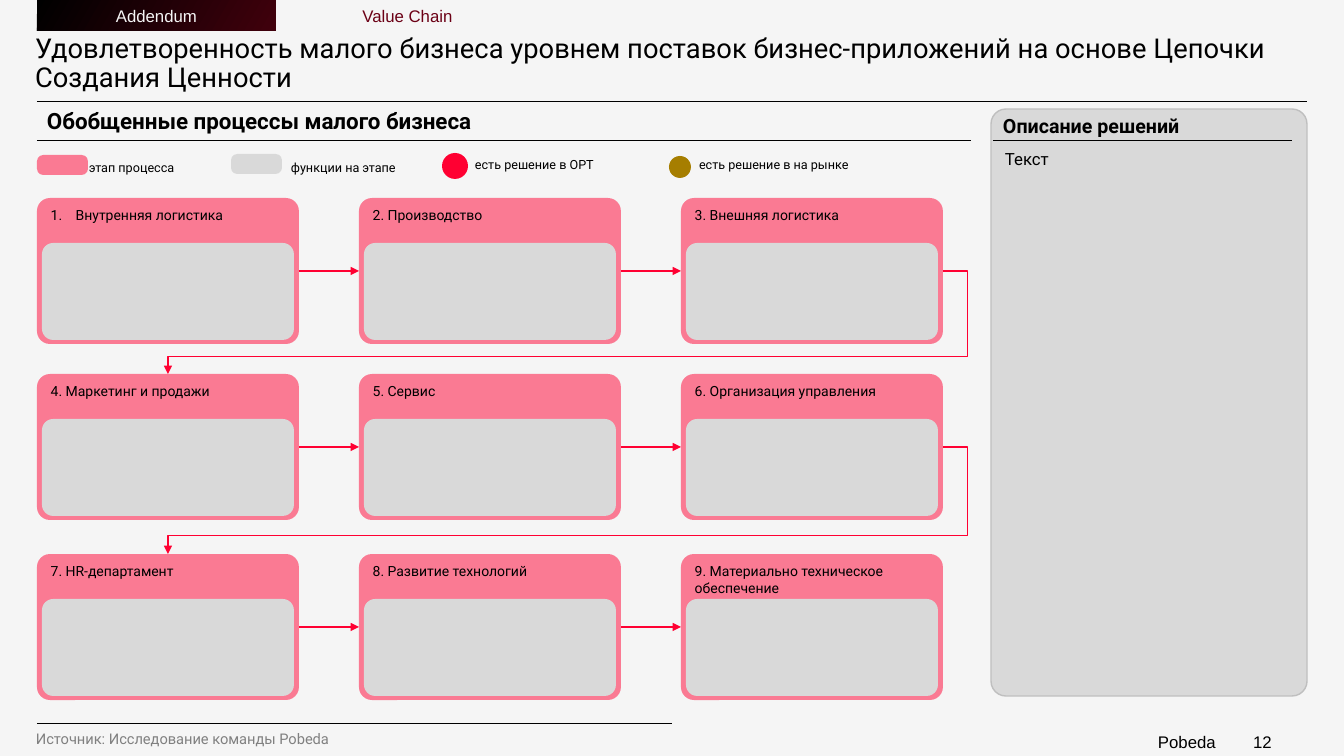
from lxml.etree import SubElement
from pptx import Presentation
from pptx.dml.color import RGBColor
from pptx.enum.shapes import MSO_CONNECTOR, MSO_SHAPE
from pptx.enum.text import MSO_ANCHOR, MSO_AUTO_SIZE, PP_ALIGN
from pptx.oxml.ns import qn
from pptx.util import Pt

PX = 914400 / 100.8  # EMU in one px

BLACK = RGBColor(0x00, 0x00, 0x00)
PAPER = RGBColor(0xF5, 0xF5, 0xF5)
RED = RGBColor(0xFF, 0x00, 0x32)
DARK_RED = RGBColor(0x40, 0x00, 0x0C)
WINE = RGBColor(0x6B, 0x00, 0x15)
GOLD = RGBColor(0xA6, 0x7E, 0x00)
LIGHT_GRAY = RGBColor(0xD9, 0xD9, 0xD9)
EDGE_GRAY = RGBColor(0xBF, 0xBF, 0xBF)
TEXT_GRAY = RGBColor(0x80, 0x80, 0x80)


def add_box(kind, box, fill=None, radius=None, alpha=None):
    """Add a preset shape, or a text box when kind is None."""
    x, y, w, h = [round(v * PX) for v in box]
    if kind is None:
        return s.shapes.add_textbox(x, y, w, h)
    sp = s.shapes.add_shape(kind, x, y, w, h)
    sp.shadow.inherit = False
    sp.line.fill.background()
    if fill is not None:
        sp.fill.solid()
        sp.fill.fore_color.rgb = fill
    if radius is not None:
        sp.adjustments[0] = radius
    if alpha is not None:
        color = sp.fill._xPr.find(qn("a:solidFill"))[0]
        SubElement(color, qn("a:alpha"), val=str(alpha * 1000))
    return sp


def write(sp, text, size, font="Roboto", color=BLACK, bold=False,
          anchor=MSO_ANCHOR.MIDDLE, align=PP_ALIGN.LEFT, left=10):
    """Put one formatted paragraph into a shape and return the paragraph."""
    tf = sp.text_frame
    frame = {"word_wrap": True, "auto_size": MSO_AUTO_SIZE.NONE,
             "vertical_anchor": anchor, "margin_left": round(left * PX)}
    for name, value in frame.items():
        setattr(tf, name, value)
    p = tf.paragraphs[0]
    p.alignment = align
    r = p.add_run()
    r.text = text
    for name, value in {"name": font, "size": Pt(size), "bold": bold}.items():
        setattr(r.font, name, value)
    r.font.color.rgb = color
    return p


prs = Presentation()
prs.slide_width, prs.slide_height = round(1344 * PX), round(756 * PX)
s = prs.slides.add_slide(prs.slide_layouts[5])
s.background.fill.solid()
s.background.fill.fore_color.rgb = PAPER

# Title
title = s.shapes.title
for name, value in {"left": 25, "top": 28, "width": 1280, "height": 72}.items():
    setattr(title, name, round(value * PX))
p = write(title, "Удовлетворенность малого бизнеса уровнем поставок "
          "бизнес-приложений на основе Цепочки Создания Ценности", 19.5)
p.line_spacing = 0.9

# Section tabs
tab = add_box(MSO_SHAPE.RECTANGLE, (37, 0, 239, 31))
tab.fill.gradient()
tab.fill.gradient_angle = 330
for stop, position, color in zip(tab.fill.gradient_stops, (0, 1), (BLACK, DARK_RED)):
    stop.position = position
    stop.color.rgb = color
write(tab, "Addendum", 12, "Arial", PAPER, align=PP_ALIGN.CENTER)
write(add_box(None, (288, 0, 239, 31)), "Value Chain", 12, "Arial", WINE,
      align=PP_ALIGN.CENTER)

# Description panel
panel = add_box(MSO_SHAPE.ROUNDED_RECTANGLE, (991, 109, 316, 587), LIGHT_GRAY, 0.047)
panel.line.color.rgb = EDGE_GRAY
panel.line.width = Pt(1)
write(add_box(None, (993, 109, 286, 34)), "Описание решений", 14, bold=True)
write(add_box(None, (1005, 144, 284, 47)), "Текст", 12, anchor=MSO_ANCHOR.TOP, left=0)

# Heading and footer
write(add_box(None, (37, 101, 949, 40)), "Обобщенные процессы малого бизнеса", 16, bold=True)
write(add_box(None, (26, 723, 729, 32)), "Источник: Исследование команды Pobeda",
      10.5, color=TEXT_GRAY)
footer = add_box(None, (1148, 728, 159, 28))
tabs = SubElement(footer.text_frame.paragraphs[0]._p.get_or_add_pPr(), qn("a:tabLst"))
SubElement(tabs, qn("a:tab"), pos=str(round(95 * PX)), algn="l")
write(footer, "Pobeda\t12", 12, "Arial")

# Rules
for x1, x2, y in [(37, 1307, 101), (37, 971, 140), (993, 1292, 140), (37, 672, 723)]:
    rule = s.shapes.add_connector(MSO_CONNECTOR.STRAIGHT, *[
        round(v * PX) for v in (x1, y, x2, y)])
    rule.line.color.rgb = BLACK
    rule.line.width = Pt(0.5)
    SubElement(rule._element.spPr, qn("a:effectLst"))

# Legend
ROUND, OVAL = MSO_SHAPE.ROUNDED_RECTANGLE, MSO_SHAPE.OVAL
LEGEND = [
    (ROUND, (37, 155, 51, 20), RED, 0.314, 50, "этап процесса", (89, 155, 152, 25)),
    (ROUND, (231, 154, 51, 20), LIGHT_GRAY, 0.314, None, "функции на этапе", (291, 155, 150, 25)),
    (OVAL, (442, 153, 26, 26), RED, None, None, "есть решение в ОРТ", (475, 152, 187, 25)),
    (OVAL, (669, 156, 22, 22), GOLD, None, None, "есть решение в на рынке", (699, 152, 221, 25)),
]
for kind, mark, fill, radius, alpha, label, place in LEGEND:
    add_box(kind, mark, fill, radius, alpha)
    write(add_box(None, place), label, 9, left=0)

# Process stages, three in a row
STAGES = ["Внутренняя логистика", "2. Производство", "3. Внешняя логистика",
          "4. Маркетинг и продажи", "5. Сервис", "6. Организация управления",
          "7. HR-департамент", "8. Развитие технологий",
          "9. Материально техническое обеспечение"]
ROW_TOPS = [198, 374, 554]
stages = []
for i, name in enumerate(STAGES):
    x, y = 37 + 322 * (i % 3), ROW_TOPS[i // 3]
    stage = add_box(ROUND, (x, y, 262, 146), RED, 0.089, 50)
    p = write(stage, name, 10, anchor=MSO_ANCHOR.TOP)
    if i == 0:
        pPr = p._p.get_or_add_pPr()
        pPr.set("marL", str(round(25 * PX)))
        pPr.set("indent", str(round(-25 * PX)))
        SubElement(pPr, qn("a:buAutoNum"), type="arabicPeriod")
    add_box(ROUND, (x + 5, y + 45, 252, 97), LIGHT_GRAY, 0.115)
    stages.append(stage)

# Arrows between stages; the row change goes around the right edge
for i, (start, end) in enumerate(zip(stages, stages[1:])):
    wraps = i % 3 == 2
    kind = MSO_CONNECTOR.ELBOW if wraps else MSO_CONNECTOR.STRAIGHT
    arrow = s.shapes.add_connector(kind, 0, 0, 0, 0)
    arrow.begin_connect(start, 3)
    arrow.end_connect(end, 0 if wraps else 1)
    arrow.line.color.rgb = RED
    arrow.line.width = Pt(1)
    SubElement(arrow.line._get_or_add_ln(), qn("a:tailEnd"), type="triangle")
    SubElement(arrow._element.spPr, qn("a:effectLst"))
    if wraps:
        geom = arrow._element.spPr.find(qn("a:prstGeom"))
        geom.set("prst", "bentConnector4")
        guides = geom.find(qn("a:avLst"))
        for guide, value in (("adj1", -3200), ("adj2", 82800)):
            SubElement(guides, qn("a:gd"), name=guide, fmla=f"val {value}")

prs.save("out.pptx")
